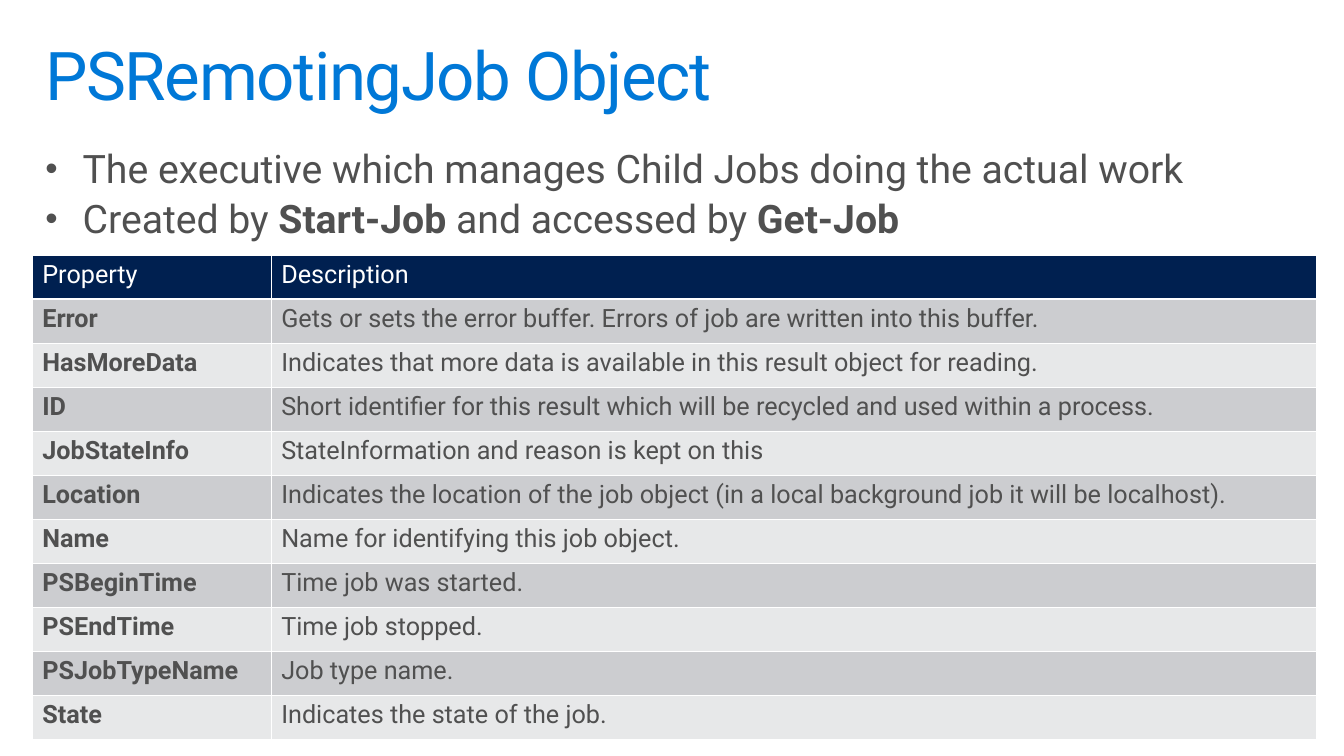
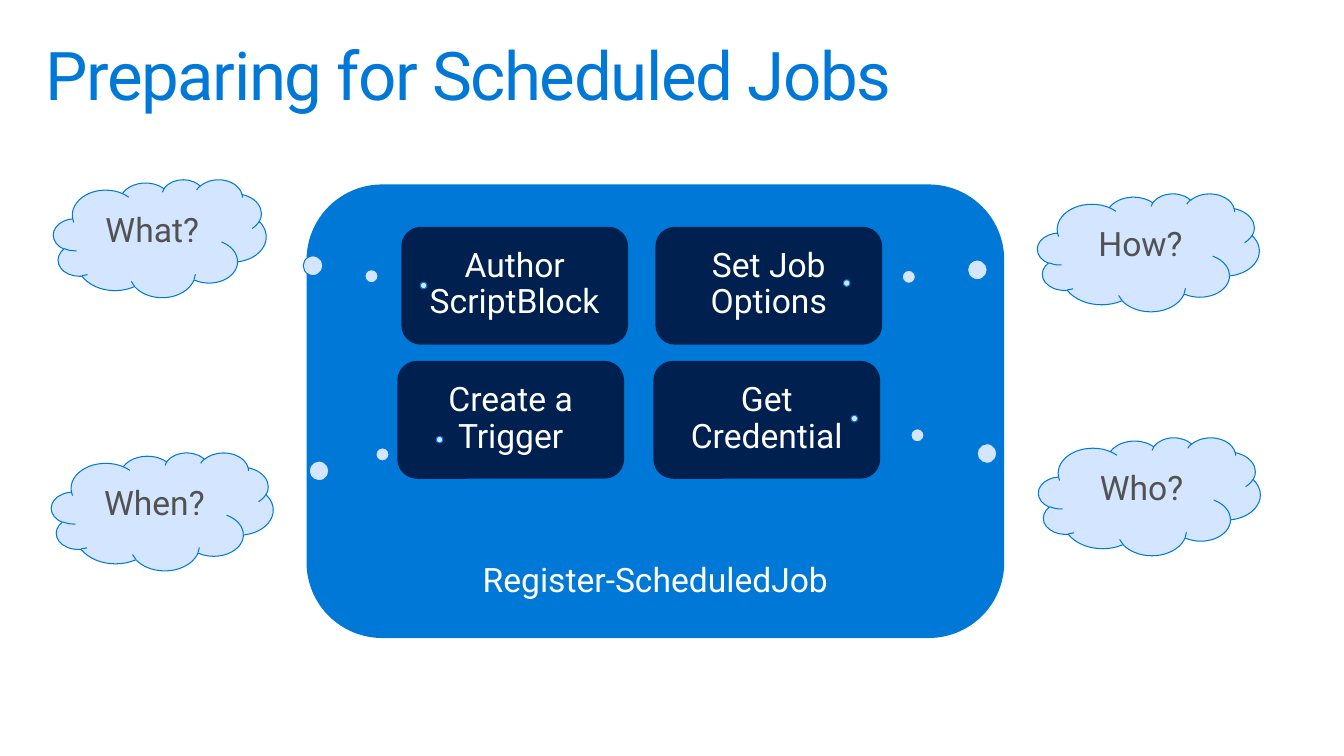
"""Builds two slides on background jobs and scheduled jobs."""
import pptx
import pptx.dml.color
import pptx.enum.shapes
import pptx.enum.text
import pptx.oxml
import pptx.oxml.ns
import pptx.util

RGB = pptx.dml.color.RGBColor
SHAPE = pptx.enum.shapes.MSO_SHAPE
ALIGN = pptx.enum.text.PP_ALIGN
ANCHOR = pptx.enum.text.MSO_ANCHOR
PX = 9144
FONT = "Roboto"
BLUE = RGB(0x00, 0x78, 0xD7)
NAVY = RGB(0x00, 0x20, 0x50)
PALE = RGB(0xD4, 0xE5, 0xFF)
WHITE = RGB(0xFF, 0xFF, 0xFF)
GRAY = RGB(0x50, 0x50, 0x50)
SLATE = RGB(0x52, 0x52, 0x52)
BANDS = [RGB(0xE7, 0xE8, 0xE9), RGB(0xCC, 0xCD, 0xD0)]


def style(para, size, color, align=ALIGN.LEFT, space=0.9):
    para.alignment = align
    para.line_spacing = space
    para.font.name = FONT
    para.font.size = pptx.util.Pt(size)
    para.font.color.rgb = color


def start(text):
    slide = deck.slides.add_slide(deck.slide_layouts[5])
    title = slide.shapes.title
    title.left, title.top, title.width, title.height = [n * PX for n in (29, 32, 1275, 98)]
    frame = title.text_frame
    frame.text = text
    frame.auto_size = pptx.enum.text.MSO_AUTO_SIZE.NONE
    frame.vertical_anchor = ANCHOR.TOP
    frame.margin_left = frame.margin_right = 16 * PX
    frame.margin_top = frame.margin_bottom = 10 * PX
    para = frame.paragraphs[0]
    style(para, 48, BLUE)
    para.runs[0]._r.get_or_add_rPr().set("spc", "-100")
    return slide


deck = pptx.Presentation()
deck.slide_width, deck.slide_height = 1333 * PX, 750 * PX

slide = start("PSRemotingJob Object")
points = [
    [("The executive which manages Child Jobs doing the actual work", False)],
    [("Created by ", False), ("Start-Job", True), (" and accessed by ", False), ("Get-Job", True)],
]
body = slide.shapes.add_textbox(29 * PX, 138 * PX, 1274 * PX, 114 * PX)
frame = body.text_frame
frame.word_wrap = True
frame.margin_left = frame.margin_right = 16 * PX
frame.margin_top = frame.margin_bottom = 10 * PX
for i, point in enumerate(points):
    para = frame.add_paragraph() if i else frame.paragraphs[0]
    for text, bold in point:
        run = para.add_run()
        run.text = text
        run.font.bold = bold
    style(para, 28, GRAY)
    para.space_before = pptx.util.Pt(5.6)
    props = para._p.get_or_add_pPr()
    props.set("marL", str(37 * PX))
    props.set("indent", str(-37 * PX))
    marks = [("buSzPct", 'val="90000"'), ("buFont", 'typeface="Arial"'), ("buChar", 'char="•"')]
    for tag, value in marks:
        mark = pptx.oxml.parse_xml(f'<a:{tag} {pptx.oxml.ns.nsdecls("a")} {value}/>')
        props.insert_element_before(mark, "a:tabLst", "a:defRPr", "a:extLst")

rows = [
    ("Property", "Description"),
    ("Error", "Gets or sets the error buffer. Errors of job are written into this buffer."),
    ("HasMoreData", "Indicates that more data is available in this result object for reading."),
    ("ID", "Short identifier for this result which will be recycled and used within a process."),
    ("JobStateInfo", "StateInformation and reason is kept on this"),
    ("Location", "Indicates the location of the job object (in a local background job it will be localhost)."),
    ("Name", "Name for identifying this job object."),
    ("PSBeginTime", "Time job was started."),
    ("PSEndTime", "Time job stopped."),
    ("PSJobTypeName", "Job type name."),
    ("State", "Indicates the state of the job."),
]
grid = slide.shapes.add_table(len(rows), 2, 32 * PX, 253 * PX, 1274 * PX, 481 * PX).table
grid.columns[0].width = 237 * PX
grid.columns[1].width = 1037 * PX
for r, row in enumerate(rows):
    for c, text in enumerate(row):
        cell = grid.cell(r, c)
        cell.text = text
        cell.fill.solid()
        cell.fill.fore_color.rgb = BANDS[r % 2] if r else NAVY
        para = cell.text_frame.paragraphs[0]
        style(para, 18, GRAY if r else WHITE, space=1.0)
        para.font.bold = r > 0 and c == 0

slide = start("Preparing for Scheduled Jobs")
box, cloud = SHAPE.FLOWCHART_ALTERNATE_PROCESS, SHAPE.CLOUD_CALLOUT
items = [
    (box, "Register-ScheduledJob", (304, 183, 692, 450), BLUE, ()),
    (box, "Create a Trigger", (394, 358, 225, 117), NAVY, ()),
    (box, "Author ScriptBlock", (398, 225, 225, 117), NAVY, ()),
    (box, "Set Job Options", (650, 225, 225, 117), NAVY, ()),
    (box, "Get Credential", (648, 358, 225, 117), NAVY, ()),
    (cloud, "What?", (53, 178, 211, 117), PALE, (1.24, 0.4)),
    (cloud, "When?", (51, 449, 220, 117), PALE, (1.25, -0.61)),
    (cloud, "How?", (1029, 192, 220, 117), PALE, (-1.36, 0.26)),
    (cloud, "Who?", (1030, 434, 220, 117), PALE, (-1.33, -0.66)),
]
for kind, text, place, fill, tail in items:
    shape = slide.shapes.add_shape(kind, *[n * PX for n in place])
    shape.shadow.inherit = False
    shape.fill.solid()
    shape.fill.fore_color.rgb = fill
    for i, value in enumerate(tail):
        shape.adjustments[i] = value
    if kind == cloud:
        shape.line.color.rgb = BLUE
        shape.line.width = pptx.util.Pt(0.75)
    else:
        shape.line.fill.background()
    frame = shape.text_frame
    frame.text = text
    frame.word_wrap = True
    frame.vertical_anchor = ANCHOR.BOTTOM if fill == BLUE else ANCHOR.TOP
    frame.margin_left = frame.margin_right = 20 * PX
    frame.margin_top = frame.margin_bottom = 16 * PX
    style(frame.paragraphs[0], 24, SLATE if kind == cloud else WHITE, ALIGN.CENTER)

deck.save("out.pptx")
